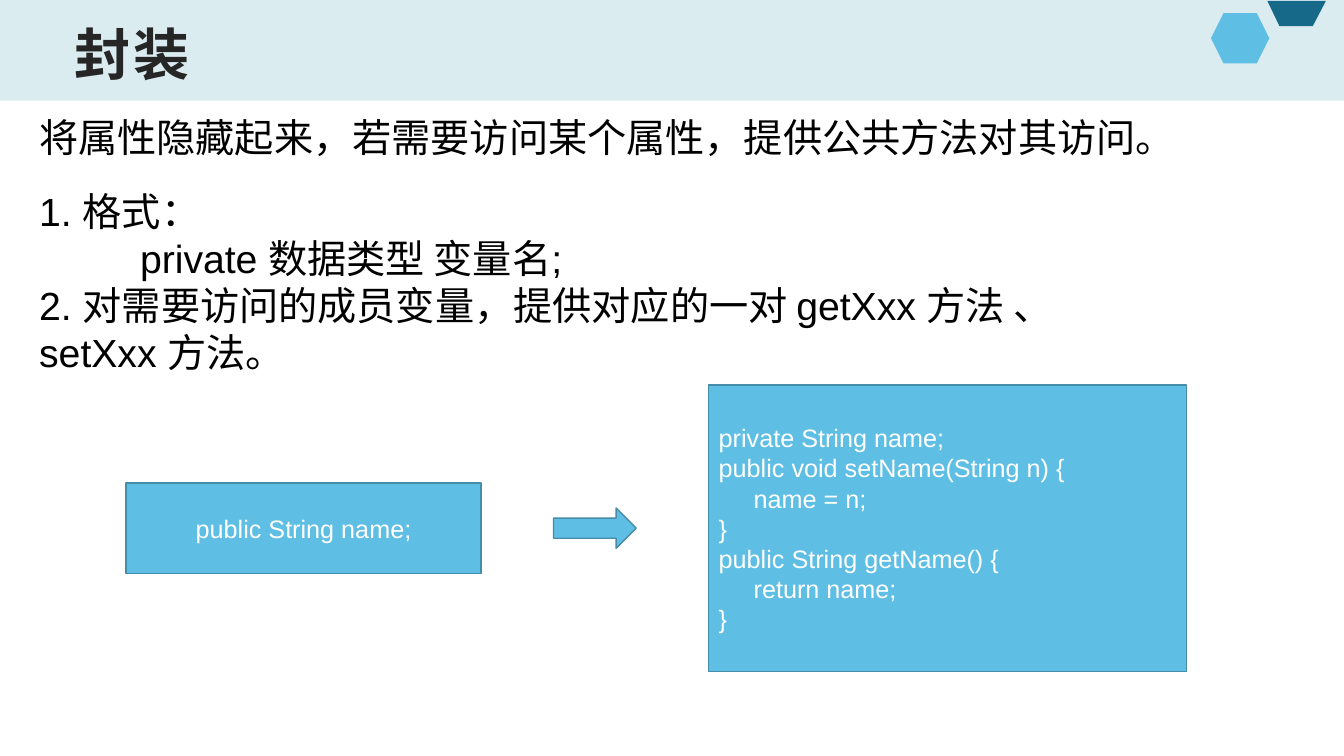
import pptx
import pptx.util
import pptx.dml.color
import pptx.enum.shapes
import pptx.enum.text

Inches = pptx.util.Inches
Pt = pptx.util.Pt
Shape = pptx.enum.shapes.MSO_SHAPE
Align = pptx.enum.text.PP_ALIGN
Anchor = pptx.enum.text.MSO_ANCHOR

COLORS = {
    "band": "DBECF1",
    "sky": "5EBEE4",
    "edge": "468DA9",
    "teal": "17698A",
    "title": "262626",
    "text": "000000",
    "white": "FFFFFF",
}
CODE = [
    "private String name;",
    "public void setName(String n) {",
    "     name = n;",
    "}",
    "public String getName() {",
    "     return name;",
    "}",
]


def color(key):
    return pptx.dml.color.RGBColor.from_string(COLORS[key])


def paint(shape, fill, line=None):
    shape.shadow.inherit = False
    shape.fill.solid()
    shape.fill.fore_color.rgb = color(fill)
    if line:
        shape.line.color.rgb = color(line)
        shape.line.width = Pt(1)
    else:
        shape.line.fill.background()


def write(frame, lines, size, ink, align=Align.LEFT, bold=False):
    for i, line in enumerate(lines):
        para = frame.paragraphs[0] if i == 0 else frame.add_paragraph()
        para.alignment = align
        run = para.add_run()
        run.text = line
        run.font.name = "Arial"
        run.font.size = Pt(size)
        run.font.bold = bold
        run.font.color.rgb = color(ink)


def add_block(slide, kind, box, fill, line=None):
    shape = slide.shapes.add_shape(kind, *map(Inches, box))
    paint(shape, fill, line)
    return shape


def add_code(slide, box, lines, align):
    shape = add_block(slide, Shape.RECTANGLE, box, "sky", "edge")
    frame = shape.text_frame
    frame.word_wrap = True
    frame.vertical_anchor = Anchor.MIDDLE
    write(frame, lines, 18, "white", align)


def add_text(slide, box, lines, wrap):
    frame = slide.shapes.add_textbox(*map(Inches, box)).text_frame
    frame.word_wrap = wrap
    write(frame, lines, 28, "text")
    return frame


def add_title(slide, text):
    title = slide.shapes.title
    title.left, title.top = Inches(0.63), Inches(0.19)
    title.width, title.height = Inches(12.07), Inches(0.68)
    frame = title.text_frame
    frame.margin_left, frame.margin_right = Inches(0.11), Inches(0.08)
    frame.margin_top = frame.margin_bottom = Inches(0.04)
    frame.vertical_anchor = Anchor.MIDDLE
    frame.word_wrap = True
    write(frame, [text], 40, "title", bold=True)
    font = frame.paragraphs[0].runs[0].font
    font._element.set("spc", "200")
    slide.shapes._spTree.append(title._element)


def add_band(slide):
    add_block(slide, Shape.RECTANGLE, (0, 0, 13.33, 1), "band")
    add_block(slide, Shape.HEXAGON, (12.01, 0.13, 0.58, 0.5), "sky")
    pen = slide.shapes.build_freeform(Inches(13.15), Inches(0.01))
    ends = [(13.02, 0.26), (12.69, 0.26), (12.57, 0.01)]
    pen.add_line_segments([(Inches(x), Inches(y)) for x, y in ends])
    paint(pen.convert_to_shape(), "teal")


def main():
    deck = pptx.Presentation()
    deck.slide_width, deck.slide_height = Inches(13.33), Inches(7.5)
    slide = deck.slides.add_slide(deck.slide_layouts[5])
    add_band(slide)
    add_title(slide, "封装")
    add_text(slide, (0.29, 1.08, 11.48, 1.04),
             ["将属性隐藏起来，若需要访问某个属性，提供公共方法对其访问。"], False)
    add_code(slide, (1.25, 4.79, 3.52, 0.9), ["public String name;"], Align.CENTER)
    add_code(slide, (7.03, 3.82, 4.74, 2.84), CODE, Align.LEFT)
    steps = add_text(slide, (0.29, 1.81, 10.61, 2.46), [
        "1. 格式：",
        "private 数据类型 变量名;",
        "2. 对需要访问的成员变量，提供对应的一对 getXxx 方法 、 setXxx 方法。",
    ], True)
    props = steps.paragraphs[1]._p.get_or_add_pPr()
    props.set("marL", str(Inches(1)))
    props.set("indent", "0")
    add_block(slide, Shape.RIGHT_ARROW, (5.49, 5.04, 0.82, 0.4), "sky", "edge")
    deck.save("out.pptx")


if __name__ == "__main__":
    main()
